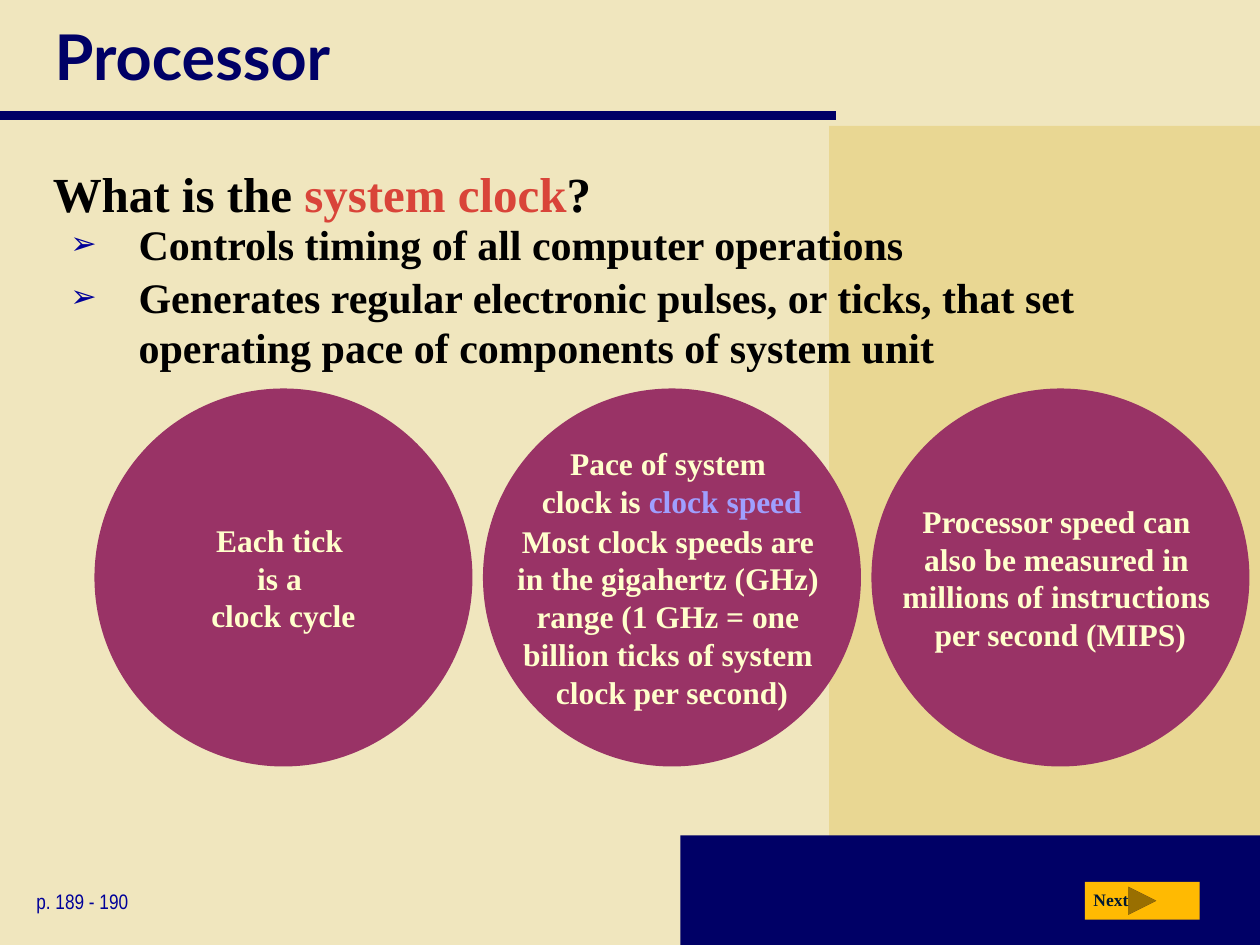
from lxml.etree import SubElement
from pptx import Presentation
from pptx.dml.color import RGBColor
from pptx.enum.shapes import MSO_CONNECTOR, MSO_SHAPE
from pptx.enum.text import MSO_ANCHOR, MSO_AUTO_SIZE, PP_ALIGN
from pptx.oxml.ns import qn
from pptx.util import Pt

theme = {
    "page": "F0E6BE", "panel": "E9D793", "navy": "000066", "circle": "993366",
    "button": "FFBA02", "bullet": "000099",
    "title": {"name": "Lato", "size": 36, "bold": True, "color": "000066"},
    "question": {"name": "Times New Roman", "size": 28, "bold": True, "color": "000000"},
    "list": {"name": "Times New Roman", "size": 24, "bold": True, "color": "000000"},
    "circle_text": {"name": "Times New Roman", "size": 18, "bold": True, "color": "FFFFCC"},
    "pages": {"name": "Arial Narrow", "size": 12, "bold": False, "color": "000099"},
    "next": {"name": "Times New Roman", "size": 10, "bold": True, "color": "001932"},
    "term": "D94439", "speed": "9F9FFF",
}


def add_text(para, text, style, color=None):
    for index, line in enumerate(text.split("\n")):
        if index:
            para.add_line_break()
        span = para.add_run()
        span.text = line
        values = {"name": style["name"], "size": Pt(style["size"]), "bold": style["bold"]}
        for name, value in values.items():
            setattr(span.font, name, value)
        span.font.color.rgb = RGBColor.from_string(color or style["color"])


def add_filled(shapes, kind, bounds, color):
    shape = shapes.add_shape(kind, *map(Pt, bounds))
    shape.shadow.inherit = False
    shape.fill.solid()
    shape.fill.fore_color.rgb = RGBColor.from_string(color)
    shape.line.fill.background()
    return shape


deck = Presentation()
deck.slide_width, deck.slide_height = Pt(720), Pt(540)
page = deck.slides.add_slide(deck.slide_layouts[3])
page.background.fill.solid()
page.background.fill.fore_color.rgb = RGBColor.from_string(theme["page"])
title, question, bullets = [page.placeholders[index] for index in range(3)]
for holder in page.placeholders:
    if holder.placeholder_format.idx > 2:
        holder.element.getparent().remove(holder.element)

add_filled(page.shapes, MSO_SHAPE.RECTANGLE, (473.76, 72, 246.24, 468), theme["panel"])
add_filled(page.shapes, MSO_SHAPE.RECTANGLE, (388.8, 477.36, 331.2, 62.64), theme["navy"])
rule = page.shapes.add_connector(MSO_CONNECTOR.STRAIGHT, Pt(0), Pt(66), Pt(478), Pt(66))
rule.line.color.rgb = RGBColor.from_string(theme["navy"])
rule.line.width = Pt(5)
SubElement(rule.element.spPr, qn("a:effectLst"))

holder_bounds = [
    (title, (24, 0, 676, 63), MSO_ANCHOR.MIDDLE),
    (question, (23, 85.5, 676, 46), MSO_ANCHOR.TOP),
    (bullets, (24, 120, 676, 148), MSO_ANCHOR.TOP),
]
for holder, bounds, anchor in holder_bounds:
    for name, value in zip(("left", "top", "width", "height"), bounds):
        setattr(holder, name, Pt(value))
    frame = holder.text_frame
    frame.auto_size = MSO_AUTO_SIZE.NONE
    frame.word_wrap = True
    frame.vertical_anchor = anchor
    page.shapes.element.append(holder.element)

title.text_frame.paragraphs[0].alignment = PP_ALIGN.LEFT
add_text(title.text_frame.paragraphs[0], "Processor", theme["title"])

question.text_frame.margin_top = Pt(8)
para = question.text_frame.paragraphs[0]
para.space_before = Pt(0)
properties = para._p.get_or_add_pPr()
properties.set("marL", str(Pt(42)))
properties.set("indent", str(Pt(-42)))
SubElement(properties, qn("a:buNone"))
add_text(para, "What is the ", theme["question"])
add_text(para, "system clock", theme["question"], theme["term"])
add_text(para, "?", theme["question"])

items = [
    "Controls timing of all computer operations",
    "Generates regular electronic pulses, or ticks, that set operating pace of components of system unit",
]
bullets.text_frame.margin_top = Pt(5)
for index, item in enumerate(items):
    para = bullets.text_frame.add_paragraph() if index else bullets.text_frame.paragraphs[0]
    para.level = 1
    para.space_before = Pt(1.2 * index)
    properties = para._p.get_or_add_pPr()
    properties.set("marL", str(Pt(48)))
    properties.set("indent", str(Pt(-39)))
    SubElement(SubElement(properties, qn("a:buClr")), qn("a:srgbClr"), val=theme["bullet"])
    SubElement(properties, qn("a:buSzPct"), val="75000")
    SubElement(properties, qn("a:buChar"), char="➢")
    add_text(para, item, theme["list"])

circles = [
    [[("Each tick \nis a \nclock cycle", None)]],
    [
        [("Pace of system \nclock is ", None), ("clock speed", theme["speed"])],
        [("Most clock speeds are \nin the gigahertz (GHz) \nrange (1 GHz = one \n"
          "billion ticks of system \nclock per second)", None)],
    ],
    [[("Processor speed can \nalso be measured in \nmillions of instructions \nper second (MIPS)", None)]],
]
diameter, gap = 216, 6
for column, paragraphs in enumerate(circles):
    bounds = (54 + column * (diameter + gap), 222, diameter, diameter)
    circle = add_filled(page.shapes, MSO_SHAPE.OVAL, bounds, theme["circle"])
    frame = circle.text_frame
    for side in ("left", "top", "right", "bottom"):
        setattr(frame, f"margin_{side}", Pt(0))
    frame.word_wrap = False
    frame.vertical_anchor = MSO_ANCHOR.MIDDLE
    for index, parts in enumerate(paragraphs):
        para = frame.add_paragraph() if index else frame.paragraphs[0]
        para.alignment = PP_ALIGN.CENTER
        para.space_before = Pt(0.9 * index)
        for text, color in parts:
            add_text(para, text, theme["circle_text"], color)

button = page.shapes.add_group_shape()
add_filled(button.shapes, MSO_SHAPE.ACTION_BUTTON_FORWARD_OR_NEXT, (620, 504, 65.5, 21.5), theme["button"])
labels = [
    (page.shapes, (13.68, 504, 121.68, 21.6), "p. 189 - 190", "pages"),
    (button.shapes, (617.76, 504.72, 36.72, 19.44), "Next", "next"),
]
for shapes, bounds, text, style in labels:
    box = shapes.add_textbox(*map(Pt, bounds))
    box.text_frame.word_wrap = True
    box.text_frame.auto_size = MSO_AUTO_SIZE.SHAPE_TO_FIT_TEXT
    add_text(box.text_frame.paragraphs[0], text, theme[style])

deck.save("out.pptx")
